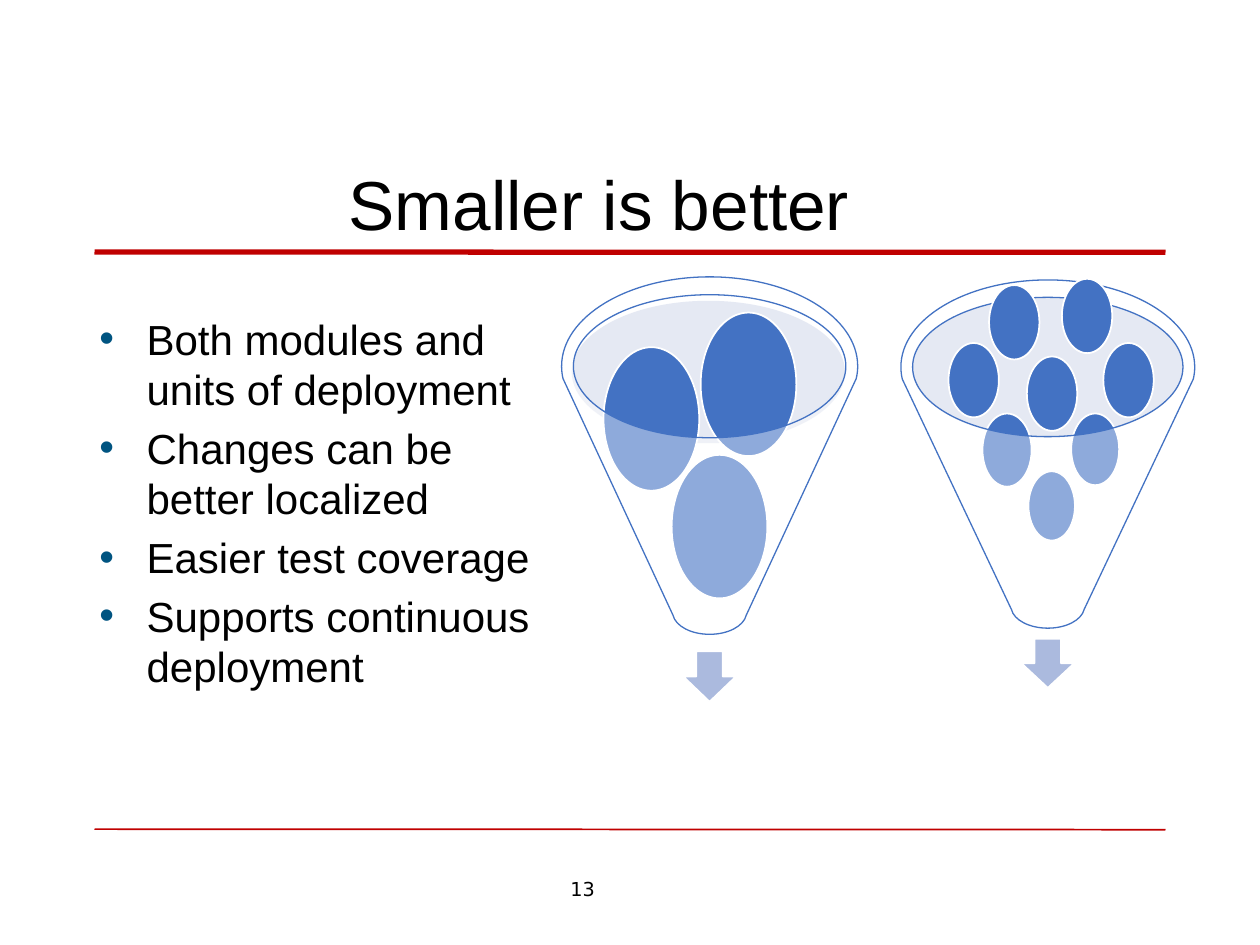
from math import cos, radians, sin, tan

from lxml.etree import SubElement
from pptx import Presentation
from pptx.dml.color import RGBColor
from pptx.enum.shapes import MSO_CONNECTOR, MSO_SHAPE
from pptx.enum.text import MSO_ANCHOR, PP_ALIGN
from pptx.oxml.ns import qn
from pptx.util import Pt

COLORS = {"rule": "C00000", "text": "000000", "bullet": "005481", "ball": "4372C3",
          "disc": "BFC8E3", "arrow": "ABBADE", "white": "FFFFFF"}
POINTS = ["Both modules and units of deployment", "Changes can be better localized",
          "Easier test coverage", "Supports continuous deployment"]
LARGE, SMALL = (54.7, 82), (28.8, 42.5)
FUNNELS = [
    {"box": (320.9, 158.2, 169.2, 204.3), "disc": (5.8, 13.7, 156.2, 81.4),
     "arrow": (213.9, 28.9),
     "inside": [(62.9, 101.7, *LARGE), (24, 40.2, *LARGE), (79.5, 20.4, *LARGE)],
     "above": []},
    {"box": (514.8, 160, 167.9, 199), "disc": (6.5, 10.1, 154.8, 79.9),
     "arrow": (205, 28.1),
     "inside": [(72.9, 109.3, 26.6, 39.6), (46.6, 76.3, 28.1, 41.8), (97.3, 76.3, 27.4, 41)],
     "above": [(92, -0.7, *SMALL), (27.2, 36, *SMALL), (72, 43.7, *SMALL),
               (115.7, 36, *SMALL), (50.4, 2.9, *SMALL)]},
]


def color(name):
    """Return the named palette colour."""
    return RGBColor.from_string(COLORS[name])


def paint(shape, fill, line=None, weight=1, alpha=None):
    """Give a shape its fill, outline and opacity, without a shadow."""
    shape.shadow.inherit = False
    shape.fill.solid()
    shape.fill.fore_color.rgb = color(fill)
    if alpha:
        solid = shape.fill._xPr.find(qn("a:solidFill"))
        SubElement(solid[0], qn("a:alpha"), val=str(alpha * 1000))
    if line:
        shape.line.color.rgb = color(line)
        shape.line.width = Pt(weight)
    else:
        shape.line.fill.background()


def add_rule(page, start, end, weight):
    """Draw a red rule between two points."""
    rule = page.shapes.add_connector(MSO_CONNECTOR.STRAIGHT, *map(Pt, start + end))
    rule.line.color.rgb = color("rule")
    rule.line.width = Pt(weight)
    SubElement(rule._element.spPr, qn("a:effectLst"))


def add_text(page, box, lines, size, font="Arial", frame_format=(), para_format=()):
    """Place a wrapped text box with one paragraph per line and return its paragraphs."""
    frame = page.shapes.add_textbox(*map(Pt, box)).text_frame
    for name, value in {"word_wrap": True, **dict(frame_format)}.items():
        setattr(frame, name, value)
    for index, line in enumerate(lines):
        para = frame.paragraphs[0] if index == 0 else frame.add_paragraph()
        for name, value in dict(para_format).items():
            setattr(para, name, value)
        span = para.add_run()
        span.text = line
        for name, value in {"size": Pt(size), "name": font}.items():
            setattr(span.font, name, value)
        span.font.color.rgb = color("text")
    return frame.paragraphs


def add_title(page, box):
    """Place the centred slide title."""
    margins = {"margin_left": Pt(5), "margin_right": Pt(5),
               "margin_top": Pt(3), "margin_bottom": Pt(3)}
    add_text(page, box, ["Smaller is better"], 39.6,
             frame_format={"vertical_anchor": MSO_ANCHOR.MIDDLE, **margins},
             para_format={"alignment": PP_ALIGN.CENTER, "line_spacing": 0.9})


def add_bullets(page, box):
    """Place the bulleted list with hanging indents."""
    for para in add_text(page, box, POINTS, 24, para_format={"space_before": Pt(4.8)}):
        properties = para._p.get_or_add_pPr()
        for name, value in {"marL": Pt(27), "indent": -Pt(27)}.items():
            properties.set(name, str(value))
        tint = SubElement(properties, qn("a:buClr"))
        SubElement(tint, qn("a:srgbClr"), val=COLORS["bullet"])
        SubElement(properties, qn("a:buFont"), typeface="Arial")
        SubElement(properties, qn("a:buChar"), char="•")


def arc(center, radii, angles):
    """Return the start and the Bézier points of an elliptical arc through the angles."""
    def spot(angle, pull=0):
        """Return the point at an angle, pulled along its tangent."""
        across, down = cos(radians(angle)), sin(radians(angle))
        return (Pt(center[0] + radii[0] * (across - pull * down)),
                Pt(center[1] + radii[1] * (down + pull * across)))

    points = [spot(angles[0])]
    for start, end in zip(angles, angles[1:]):
        pull = 4 / 3 * tan(radians(end - start) / 4)
        points += [spot(start, pull), spot(end, -pull), spot(end)]
    return points


def bend(shape, starts):
    """Turn each three line segments from the given indices into one curve."""
    segments = list(shape._element.iter(qn("a:lnTo")))
    for start in starts:
        first, *others = segments[start:start + 3]
        curve = SubElement(first.getparent(), qn("a:cubicBezTo"))
        first.addprevious(curve)
        for segment in (first, *others):
            curve.append(segment[0])
            segment.getparent().remove(segment)


def add_cone(shapes, left, top, width, height):
    """Draw the funnel wall with its open elliptical mouth."""
    middle = left + width / 2
    mouth = (middle, top + height / 4)
    spout = (middle, top + height * 15 / 16)
    rim = arc(mouth, (width / 2, height / 4), (172, 180, 270, 360, 368))
    tip = arc(spout, (width / 8, height / 16), (8, 90, 172))
    opening = arc(mouth, (width * 0.46, height * 0.2), (180, 90, 0, -90, -180))
    builder = shapes.build_freeform(*rim[0])
    builder.add_line_segments(rim[1:] + tip)
    builder.move_to(*opening[0])
    builder.add_line_segments(opening[1:])
    cone = builder.convert_to_shape()
    tip_start = len(rim)
    bend(cone, [*range(0, tip_start - 1, 3),
                *range(tip_start, tip_start + len(tip) + len(opening) - 2, 3)])
    paint(cone, "white", "ball", 0.75, 40)


def add_funnel(page, box, disc, arrow, inside, above):
    """Draw one funnel group with its balls and exit arrow."""
    left, top, width, height = box
    shapes = page.shapes.add_group_shape().shapes

    def place(kind, x, y, *size):
        """Add a preset shape at an offset from the funnel corner."""
        return shapes.add_shape(kind, *map(Pt, (left + x, top + y, *size)))

    paint(place(MSO_SHAPE.OVAL, *disc), "disc", alpha=40)
    arrow_top, arrow_height = arrow
    paint(place(MSO_SHAPE.DOWN_ARROW, width / 2 - 15.1, arrow_top, 30.2, arrow_height),
          "arrow", "white")
    for ball in inside:
        paint(place(MSO_SHAPE.OVAL, *ball), "ball", "white")
    add_cone(shapes, left, top, width, height)
    for ball in above:
        paint(place(MSO_SHAPE.OVAL, *ball), "ball", "white")


def main():
    """Build and save the slide."""
    deck = Presentation()
    deck.slide_width, deck.slide_height = Pt(720), Pt(540)
    page = deck.slides.add_slide(deck.slide_layouts[6])
    add_rule(page, (54, 144), (666, 144.2), 3)
    add_rule(page, (54, 473.8), (666, 474.1), 1)
    add_text(page, (288, 497.9, 90, 20.9), ["13"], 11, "DejaVu Sans",
             para_format={"alignment": PP_ALIGN.CENTER})
    add_title(page, (15.1, 99, 654.5, 39.6))
    for funnel in FUNNELS:
        add_funnel(page, **funnel)
    add_bullets(page, (49.7, 175.4, 274.3, 257))
    deck.save("out.pptx")


if __name__ == "__main__":
    main()
